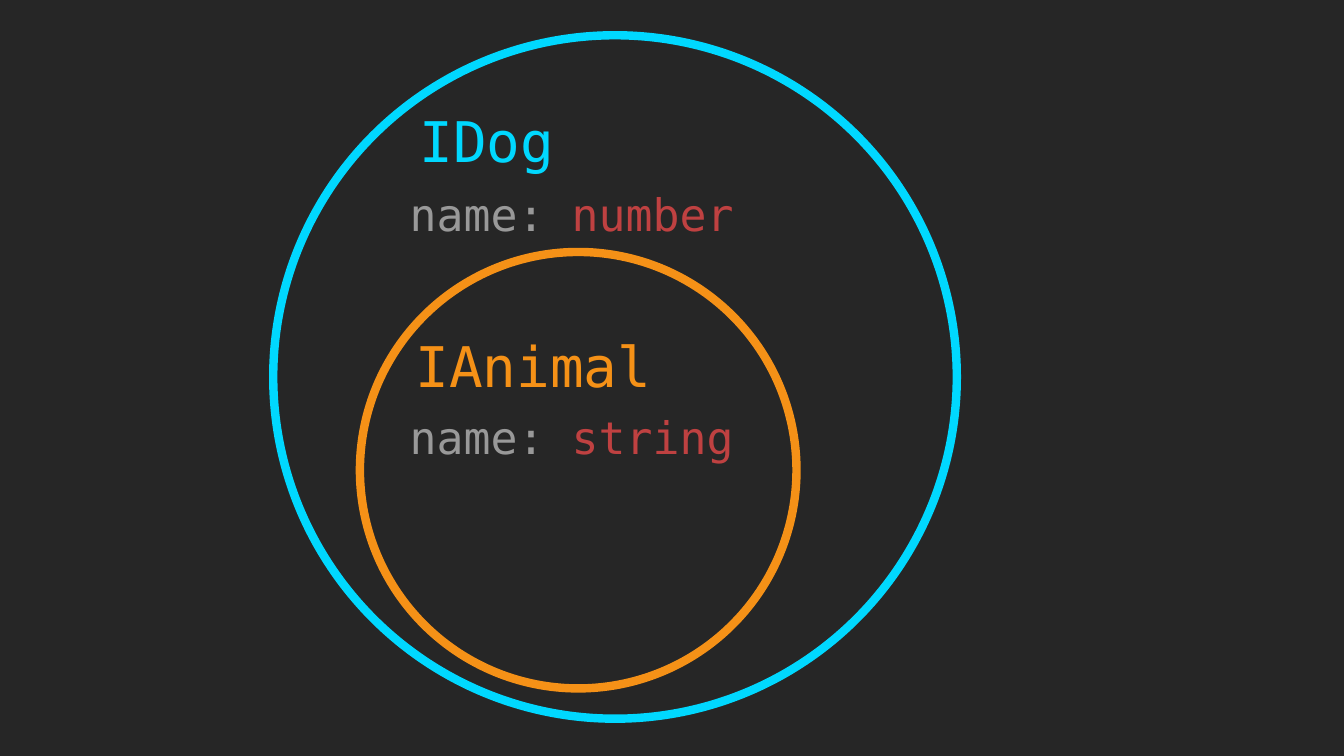
from pptx import Presentation
from pptx.dml.color import RGBColor
from pptx.enum.shapes import MSO_SHAPE
from pptx.enum.text import MSO_AUTO_SIZE, PP_ALIGN
from pptx.util import Inches, Pt

COLORS = {
    "background": "262626",
    "dog": "00D8FF",
    "animal": "F59117",
    "property": "999999",
    "type": "BF4141",
}
CODE_FONT = "DejaVu Sans Mono"


def color(name):
    """Return the named palette colour."""
    return RGBColor.from_string(COLORS[name])


def add_code(shapes, box, size, pieces):
    """Write one centred line of coloured code in the box."""
    label = shapes.add_textbox(*map(Inches, box))
    frame = label.text_frame
    frame.word_wrap = True
    frame.auto_size = MSO_AUTO_SIZE.SHAPE_TO_FIT_TEXT
    line = frame.paragraphs[0]
    line.alignment = PP_ALIGN.CENTER
    for text, color_name in pieces:
        run = line.add_run()
        run.text = text
        run.font.name = CODE_FONT
        run.font.size = Pt(size)
        run.font.color.rgb = color(color_name)


def add_interface(slide, box, name_box, name, color_name):
    """Group an outlined circle with its name, placed relative to the circle."""
    left, top, diameter = box
    dx, dy, width, height = name_box
    shapes = slide.shapes.add_group_shape().shapes
    circle = shapes.add_shape(
        MSO_SHAPE.OVAL, *map(Inches, (left, top, diameter, diameter)))
    circle.shadow.inherit = False
    circle.fill.background()
    circle.line.color.rgb = color(color_name)
    circle.line.width = Pt(6)
    add_code(shapes, (left + dx, top + dy, width, height), 40,
             [(name, color_name)])


def add_property(slide, top, type_name):
    """Write the name property and its type at the given height."""
    add_code(slide.shapes, (3.66, top, 4.02, 0.64), 32,
             [("name: ", "property"), (type_name, "type")])


def main():
    """Build the slide of nested interfaces and save it."""
    deck = Presentation()
    deck.slide_width = Inches(13.33)
    deck.slide_height = Inches(7.5)
    slide = deck.slides.add_slide(deck.slide_layouts.get_by_name("Blank"))
    slide.background.fill.solid()
    slide.background.fill.fore_color.rgb = color("background")

    add_interface(slide, (2.71, 0.35, 6.78), (0.95, 0.66, 2.34, 1.13),
                  "IDog", "dog")
    add_interface(slide, (3.57, 2.5, 4.33), (-0.3, 0.74, 4.04, 1.23),
                  "IAnimal", "animal")
    add_property(slide, 4.02, "string")
    add_property(slide, 1.8, "number")
    deck.save("out.pptx")


if __name__ == "__main__":
    main()
